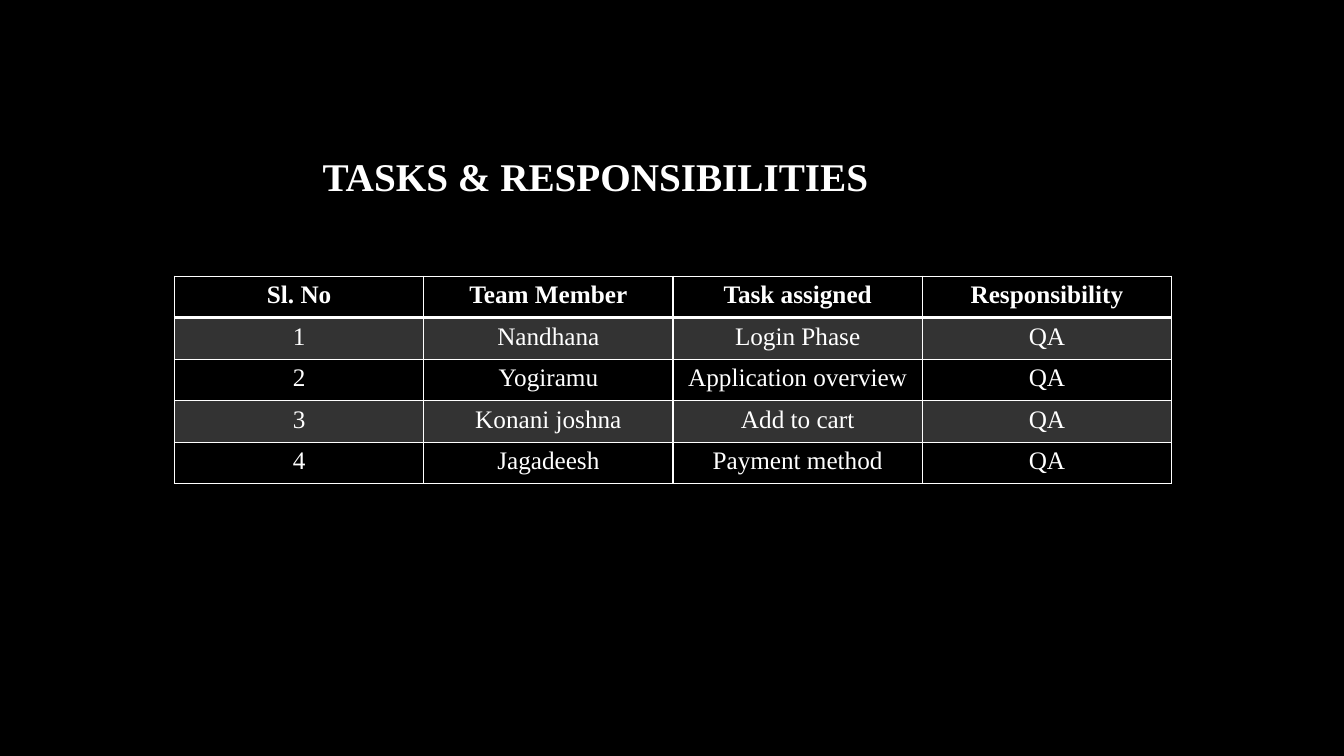
from lxml import etree
from pptx import Presentation, util as u
from pptx.dml.color import RGBColor
from pptx.enum import text
from pptx.oxml import ns

HUES = {"back": "000000", "ink": "FFFFFF"}
BAND = 20  # opacity of shaded rows, percent

TASKS = [
    ("Sl. No", "Team Member", "Task assigned", "Responsibility"),
    ("1", "Nandhana", "Login Phase", "QA"),
    ("2", "Yogiramu", "Application overview", "QA"),
    ("3", "Konani joshna", "Add to cart", "QA"),
    ("4", "Jagadeesh", "Payment method", "QA"),
]


def hue(name):
    return RGBColor.from_string(HUES[name])


class Deck:
    """Holds the style and the current slide; lengths are percent of the slide."""

    face = "Times New Roman"

    def __init__(self, wide, high):
        self.prs = Presentation()
        self.prs.slide_width = u.Inches(wide)
        self.prs.slide_height = u.Inches(high)
        self.slide = self.prs.slides.add_slide(self.prs.slide_layouts[5])
        fill = self.slide.background.fill
        fill.solid()
        fill.fore_color.rgb = hue("back")

    def box(self, x, y, w, h):
        wide, high = self.prs.slide_width, self.prs.slide_height
        return [u.Emu(round(side * part / 100))
                for side, part in zip((wide, high, wide, high), (x, y, w, h))]

    def label(self, frame, words, size, align, bold=False):
        para = frame.paragraphs[0]
        para.alignment = align
        run = para.add_run()
        run.text = words
        font = run.font
        font.name, font.size, font.bold = self.face, u.Pt(size), bold
        font.color.rgb = hue("ink")
        return para

    def title(self, words, *area):
        head = self.slide.shapes.title
        head.left, head.top, head.width, head.height = self.box(*area)
        frame = head.text_frame
        frame.word_wrap = True
        frame.vertical_anchor = text.MSO_ANCHOR.MIDDLE
        para = self.label(frame, words, 28, text.PP_ALIGN.JUSTIFY, True)
        para.line_spacing = 0.9

    def edges(self, cell, top, base):
        props = cell._tc.get_or_add_tcPr()
        for tag, width in (("lnL", 1), ("lnR", 1), ("lnT", top), ("lnB", base)):
            line = etree.SubElement(props, ns.qn(f"a:{tag}"), w=str(u.Pt(width)))
            paint = etree.SubElement(line, ns.qn("a:solidFill"))
            etree.SubElement(paint, ns.qn("a:srgbClr"), val=HUES["ink"])

    def shade(self, cell, band):
        if not band:
            cell.fill.background()
            return
        cell.fill.solid()
        cell.fill.fore_color.rgb = hue("ink")
        tint = cell._tc.tcPr.find(ns.qn("a:solidFill"))[0]
        etree.SubElement(tint, ns.qn("a:alpha"), val=str(BAND * 1000))

    def table(self, rows, *area):
        left, top, wide, high = self.box(*area)
        grid = self.slide.shapes.add_table(
            len(rows), len(rows[0]), left, top, wide, high).table
        for r, row in enumerate(rows):
            for c, words in enumerate(row):
                cell = grid.cell(r, c)
                self.label(cell.text_frame, words, 18,
                           text.PP_ALIGN.CENTER, r == 0)
                # The rule below the header is heavier
                self.edges(cell, 2 if r == 1 else 1, 2 if r == 0 else 1)
                self.shade(cell, r % 2 == 1)


def main():
    deck = Deck(13.33, 7.5)
    # Heading
    deck.title("TASKS & RESPONSIBILITIES", 23.25, 17.33, 71.2, 12.67)
    # Task list
    deck.table(TASKS, 12.98, 36.53, 74.2, 27.47)
    deck.prs.save("out.pptx")


if __name__ == "__main__":
    main()
